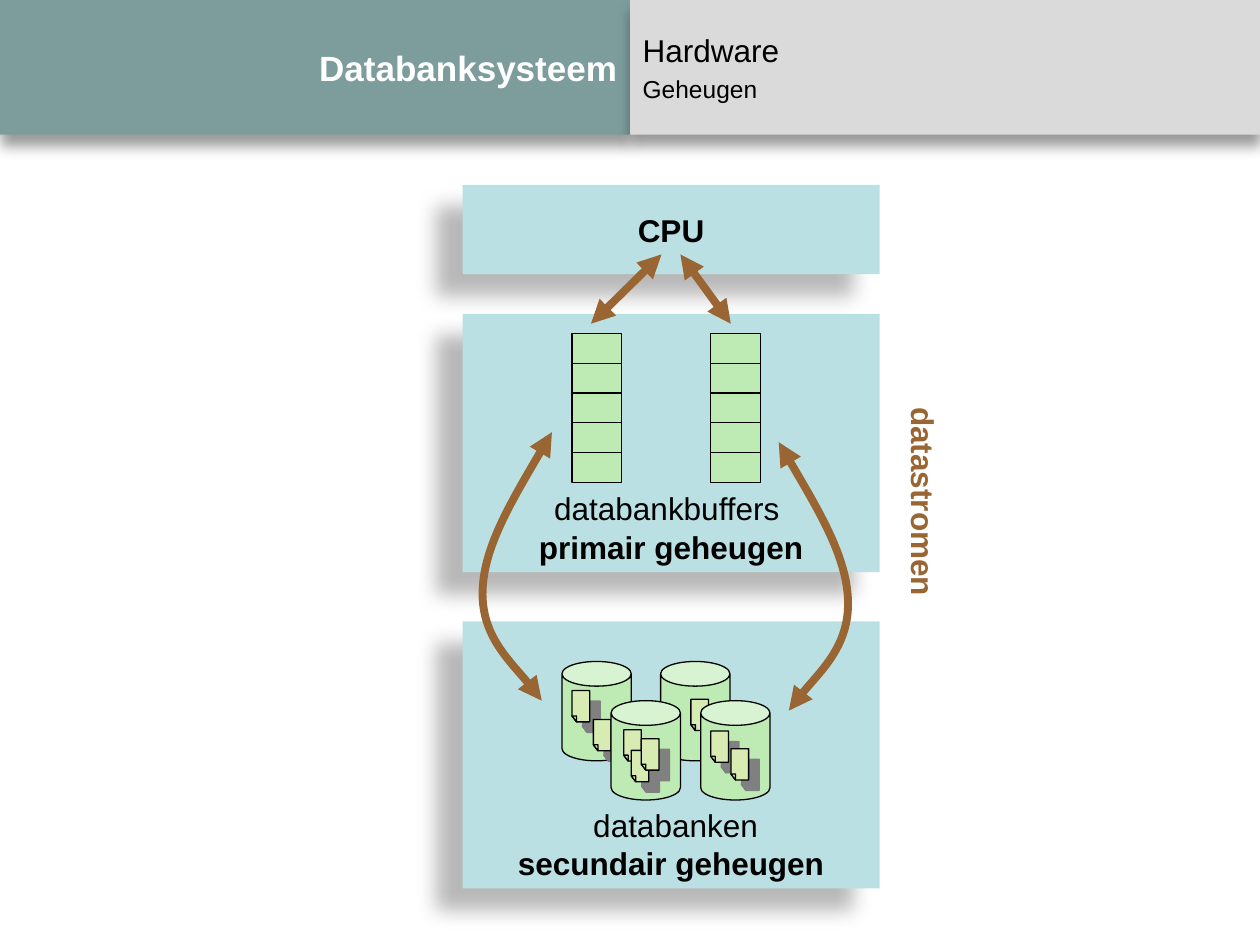
from copy import deepcopy

from pptx import Presentation
from pptx.dml.color import RGBColor
from pptx.enum.shapes import MSO_CONNECTOR, MSO_SHAPE
from pptx.enum.text import MSO_ANCHOR, MSO_AUTO_SIZE, PP_ALIGN
from pptx.oxml.ns import qn
from pptx.util import Pt
from lxml.etree import SubElement

COLORS = {
    "title": "7D9D9D", "subtitle": "DADADA", "panel": "BBE0E3",
    "buffer": "BEEBB3", "file": "D8EBB3", "flow": "996633",
    "black": "000000", "white": "FFFFFF", "gray": "808080",
}
HEADER_SHADOW = ("black", 40, 8, 6, 90)
PANEL_SHADOW = ("black", 28, 11.8, 19.7, 141)
FILE_SHADOW = ("gray", 100, 0, 8.5, 45)
FLOW_CURVE = [(0, 0), (-19.4, 33.1), (-38.9, 65.5), (-39.6, 90.7),
              (-40.3, 116.6), (-12.2, 143.3), (-5.8, 153.4)]


def rgb(name):
    return RGBColor.from_string(COLORS[name])


def pts(*values):
    return [Pt(v) for v in values]


def place(sp, box):
    sp.left, sp.top, sp.width, sp.height = pts(*box)


def paint(sp, fill=None, line=None, weight=0.75, shadow=None):
    if fill:
        sp.fill.solid()
        sp.fill.fore_color.rgb = rgb(fill)
    else:
        sp.fill.background()
    if line:
        sp.line.color.rgb = rgb(line)
        sp.line.width = Pt(weight)
    else:
        sp.line.fill.background()
    sp.shadow.inherit = False
    if shadow:
        color, alpha, blur, dist, angle = shadow
        effects = sp._element.spPr.find(qn("a:effectLst"))
        outer = SubElement(effects, qn("a:outerShdw"), blurRad=str(Pt(blur)),
                           dist=str(Pt(dist)), dir=str(angle * 60000),
                           algn="ctr", rotWithShape="0")
        clr = SubElement(outer, qn("a:srgbClr"), val=COLORS[color])
        SubElement(clr, qn("a:alpha"), val=str(alpha * 1000))


def write(p, text, size=18, color="black", bold=False, align=None):
    p.alignment = align
    r = p.add_run()
    r.text = text
    r.font.name = "Arial"
    r.font.size = Pt(size)
    r.font.bold = bold
    r.font.color.rgb = rgb(color)


def add_arrowheads(sp):
    ln = sp.line._get_or_add_ln()
    for end in ("a:headEnd", "a:tailEnd"):
        SubElement(ln, qn(end), type="triangle")


def add_line(s, start, end, color="black", weight=0.75):
    c = s.shapes.add_connector(MSO_CONNECTOR.STRAIGHT, *pts(*start, *end))
    c.line.color.rgb = rgb(color)
    c.line.width = Pt(weight)
    SubElement(c._element.spPr, qn("a:effectLst"))
    return c


def add_header(s, box):
    x, y, w, h = box
    title, body = s.placeholders[0], s.placeholders[1]
    for sp, left, fill in ((title, x, "title"), (body, x + w / 2, "subtitle")):
        place(sp, (left, y, w / 2, h))
        paint(sp, fill, shadow=HEADER_SHADOW)
        sp.text_frame.auto_size = MSO_AUTO_SIZE.NONE
        sp.text_frame.vertical_anchor = MSO_ANCHOR.MIDDLE
    write(title.text_frame.paragraphs[0], "Databanksysteem", size=20,
          color="white", bold=True, align=PP_ALIGN.RIGHT)
    tf = body.text_frame
    for p, text, size in ((tf.paragraphs[0], "Hardware", 18),
                          (tf.add_paragraph(), "Geheugen", 14)):
        SubElement(p._p.get_or_add_pPr(), qn("a:buNone"))
        write(p, text, size=size)


def add_panel(s, box, text, anchor):
    sp = s.shapes.add_shape(MSO_SHAPE.RECTANGLE, *pts(*box))
    paint(sp, "panel", shadow=PANEL_SHADOW)
    tf = sp.text_frame
    tf.word_wrap = False
    tf.vertical_anchor = anchor
    write(tf.paragraphs[0], text, bold=True, align=PP_ALIGN.CENTER)


def add_label(s, box, text, wrap=False, rotation=0, **fmt):
    sp = s.shapes.add_textbox(*pts(*box))
    sp.rotation = rotation
    tf = sp.text_frame
    tf.word_wrap = wrap
    tf.auto_size = MSO_AUTO_SIZE.SHAPE_TO_FIT_TEXT
    write(tf.paragraphs[0], text, **fmt)


def add_buffer(s, box, cells=5):
    x, y, w, h = box
    paint(s.shapes.add_shape(MSO_SHAPE.RECTANGLE, *pts(*box)), "buffer", "black")
    for i in range(1, cells):
        row = y + i * h / cells
        add_line(s, (x, row), (x + w, row))


def add_file(s, box, fold=(2.6, 3.4)):
    x, y, w, h = box
    fx, fy = x + fold[0], y + h - fold[1]
    outline = [(x, y), (x + w, y), (x + w, y + h), (fx, y + h), (x, fy)]
    corner = [(x, fy), (fx, fy), (fx, y + h)]
    fb = s.shapes.build_freeform(*pts(*outline[0]))
    fb.add_line_segments([pts(*pt) for pt in outline[1:]], close=True)
    fb.move_to(*pts(*corner[0]))
    fb.add_line_segments([pts(*pt) for pt in corner[1:]], close=True)
    sp = fb.convert_to_shape()
    sheet = next(sp._element.iter(qn("a:path")))
    flap = deepcopy(sheet)
    sheet.addnext(flap)
    split = len(outline) + 1
    for e in list(sheet)[split:]:
        sheet.remove(e)
    for e in list(flap)[:split]:
        flap.remove(e)
    paint(sp, "file", "black", shadow=FILE_SHADOW)


def add_database(s, box, files):
    x, y, w, h = box
    sp = s.shapes.add_shape(MSO_SHAPE.CAN, *pts(*box))
    sp.adjustments[0] = 0.357
    paint(sp, "buffer", "black")
    for dx, dy in files:
        add_file(s, (x + dx, y + dy, 10.1, 17.9))


def add_curved_flow(s, x, y, side):
    curve = [pts(x + side * dx, y + dy) for dx, dy in FLOW_CURVE]
    fb = s.shapes.build_freeform(*curve[0])
    fb.add_line_segments(curve[1:], close=False)
    sp = fb.convert_to_shape()
    outline = next(sp._element.iter(qn("a:path")))
    segments = outline.findall(qn("a:lnTo"))
    for i in range(0, len(segments), 3):
        bezier = SubElement(outline, qn("a:cubicBezTo"))
        for seg in segments[i:i + 3]:
            bezier.append(seg[0])
            outline.remove(seg)
    paint(sp, line="flow", weight=4.5)
    add_arrowheads(sp)


def add_memory_diagram(s, box):
    x, y, w, h = box
    for top, height, text, anchor in (
            (0, 51.1, "CPU", MSO_ANCHOR.MIDDLE),
            (73.7, 147.6, "primair geheugen", MSO_ANCHOR.BOTTOM),
            (249.4, h - 249.4, "secundair geheugen", MSO_ANCHOR.BOTTOM)):
        add_panel(s, (x, y + top, w, height), text, anchor)
    for dx in (62.6, 141.8):
        add_buffer(s, (x + dx, y + 85, 28.4, 85))
    add_label(s, (x + 45.3, y + 170.2, 144.7, 29), "databankbuffers")
    for start, end in ((113.7, 73.4), (124.5, 153.3)):
        c = add_line(s, (x + start, y + 39.8), (x + end, y + 79.4), "flow", 4.5)
        add_arrowheads(c)
    for dx, dy, side in ((51.1, 141.4, 1), (180.7, 147.1, -1)):
        add_curved_flow(s, x + dx, y + dy, side)
    for dx, dy, files in (
            (56.8, 272.4, [(5.8, 16.6), (18, 33.1)]),
            (113.2, 272.4, [(17.3, 21.6)]),
            (84.9, 294.8, [(7.2, 16.6), (11.5, 28.4), (17.3, 21.8)]),
            (136.1, 294.8, [(5.8, 17.3), (17.3, 27.4)])):
        add_database(s, (x + dx, y + dy, 39.6, 56.8), files)
    add_label(s, (x + 67.6, y + 351.6, 109.4, 29), "databanken")
    add_label(s, (x + 172.7, y + 166.6, 181.4, 29), "datastromen", wrap=True,
              rotation=90, color="flow", bold=True, align=PP_ALIGN.CENTER)


def main():
    prs = Presentation()
    prs.slide_width, prs.slide_height = pts(720, 540)
    s = prs.slides.add_slide(prs.slide_layouts[1])
    add_header(s, (0, 0, 720, 77))
    add_memory_diagram(s, (264.3, 105.6, 238.3, 402))
    prs.save("out.pptx")


if __name__ == "__main__":
    main()
